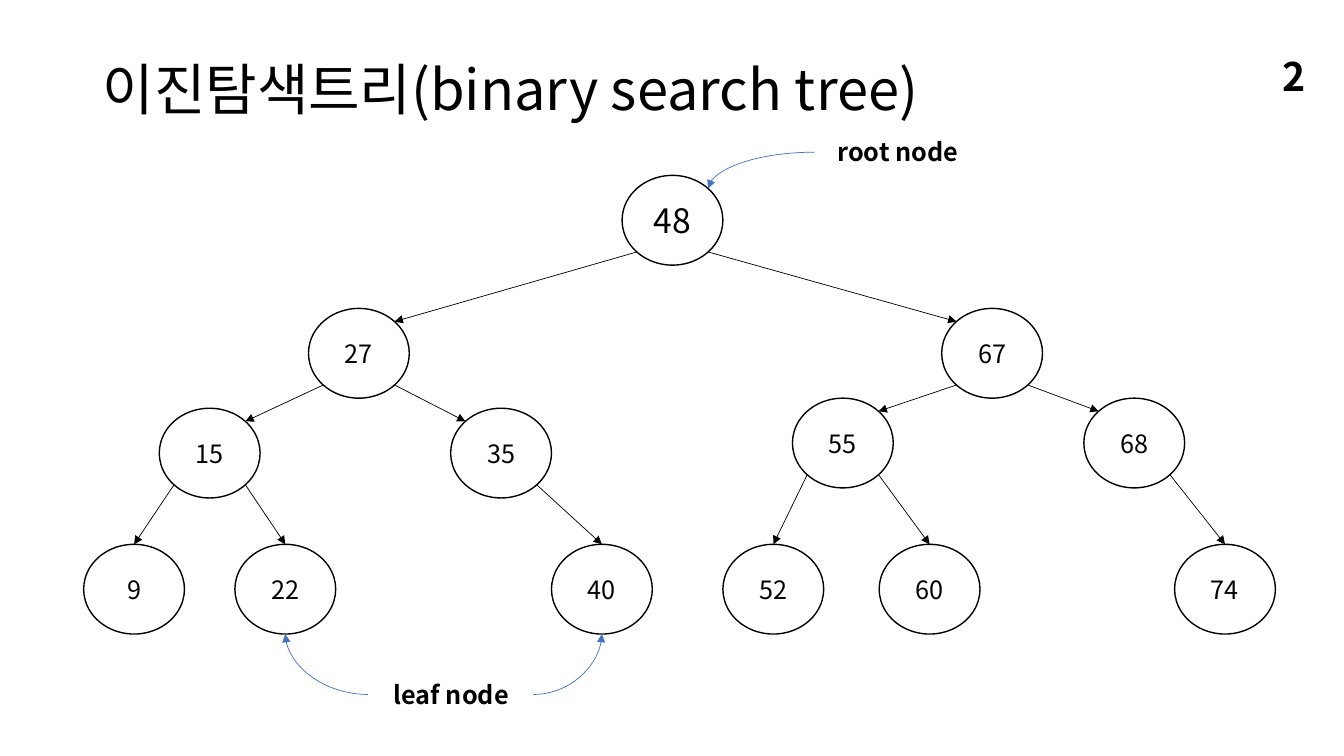
from math import sqrt
from lxml import etree
from pptx import Presentation
from pptx.dml.color import RGBColor
from pptx.enum.shapes import MSO_CONNECTOR, MSO_SHAPE
from pptx.enum.text import MSO_ANCHOR, PP_ALIGN
from pptx.oxml.ns import qn
from pptx.util import Inches, Pt

OVAL = MSO_SHAPE.OVAL
STRAIGHT, CURVE = MSO_CONNECTOR.STRAIGHT, MSO_CONNECTOR.CURVE
MIDDLE = MSO_ANCHOR.MIDDLE
LEFT, CENTER, RIGHT = PP_ALIGN.LEFT, PP_ALIGN.CENTER, PP_ALIGN.RIGHT

FONT = "Noto Sans CJK KR"
COLORS = {"ink": "000000", "pointer": "4472C4"}
NODE_W, NODE_H = 1, 0.89

# Node value: left, top
NODES = {
    48: (6.17, 1.74),
    27: (3.06, 3.06), 67: (9.34, 3.06),
    15: (1.58, 4.05), 35: (4.47, 4.05), 55: (7.86, 3.95), 68: (10.75, 3.95),
    9: (0.83, 5.4), 22: (2.33, 5.4), 40: (5.47, 5.4),
    52: (7.17, 5.4), 60: (8.72, 5.4), 74: (11.65, 5.4),
}
ROOT = 48
CHILDREN = {48: (27, 67), 27: (15, 35), 67: (55, 68),
            15: (9, 22), 35: (40,), 55: (52, 60), 68: (74,)}

# Text, box, alignment, line spacing, font format
TEXTS = [
    ("이진탐색트리(binary search tree)", (0.92, 0.4, 11.5, 1.04), LEFT, 0.9, {"size": Pt(40)}),
    ("root node", (8.08, 1.29, 1.65, 0.43), CENTER, 1, {"size": Pt(18), "bold": True}),
    ("leaf node", (3.65, 6.67, 1.65, 0.43), CENTER, 1, {"size": Pt(18), "bold": True}),
    ("2", (10.05, 0.55, 3, 0.4), RIGHT, 1, {"size": Pt(28), "bold": True}),
]


def rgb(name):
    return RGBColor.from_string(COLORS[name])


def write(s, text, align, spacing, fmt):
    tf = s.text_frame
    tf.word_wrap = True
    tf.vertical_anchor = MIDDLE
    p = tf.paragraphs[0]
    p.alignment, p.line_spacing = align, spacing
    r = p.add_run()
    r.text = text
    for key, value in {"name": FONT, **fmt}.items():
        setattr(r.font, key, value)
    r.font.color.rgb = rgb("ink")
    ea = etree.SubElement(r.font._element, qn("a:ea"))
    ea.set("typeface", FONT)


def node_point(value, dx, dy):
    """Point on a node's outline; dx and dy are -1, 0 or 1 from its centre."""
    left, top = NODES[value]
    reach = 1 / sqrt(2) if dx and dy else 1
    return (left + NODE_W / 2 * (1 + dx * reach),
            top + NODE_H / 2 * (1 + dy * reach))


def arrow(kind, start, end, color):
    c = slide.shapes.add_connector(kind, *map(Inches, start + end))
    c.line.color.rgb = rgb(color)
    c.line.width = Pt(0.5)
    spPr = c._element.spPr
    if kind == CURVE:
        spPr.find(qn("a:prstGeom")).set("prst", "curvedConnector2")
    etree.SubElement(spPr.find(qn("a:ln")), qn("a:tailEnd")).set("type", "triangle")
    etree.SubElement(spPr, qn("a:effectLst"))


prs = Presentation()
prs.slide_width, prs.slide_height = Inches(13.33), Inches(7.5)
slide = prs.slides.add_slide(prs.slide_layouts[6])

# Tree nodes
for value, (left, top) in NODES.items():
    s = slide.shapes.add_shape(OVAL, *map(Inches, (left, top, NODE_W, NODE_H)))
    s.shadow.inherit = False
    s.fill.background()
    s.line.color.rgb = rgb("ink")
    s.line.width = Pt(1)
    write(s, str(value), CENTER, 1, {"size": Pt(24 if value == ROOT else 18)})

# Edges: leaves are entered at the top, inner nodes at the upper diagonal
for parent, children in CHILDREN.items():
    for child in children:
        side = 1 if child > parent else -1
        entry = -side if child in CHILDREN else 0
        arrow(STRAIGHT, node_point(parent, side, 1), node_point(child, entry, -1), "ink")

# Title, labels and page number
for text, box, align, spacing, fmt in TEXTS:
    write(slide.shapes.add_textbox(*map(Inches, box)), text, align, spacing, fmt)

# Curved pointers from the labels
arrow(CURVE, (8.08, 1.51), node_point(ROOT, 1, -1), "pointer")
arrow(CURVE, (3.65, 6.89), node_point(22, 0, 1), "pointer")
arrow(CURVE, (5.29, 6.89), node_point(40, 0, 1), "pointer")

prs.save("out.pptx")
